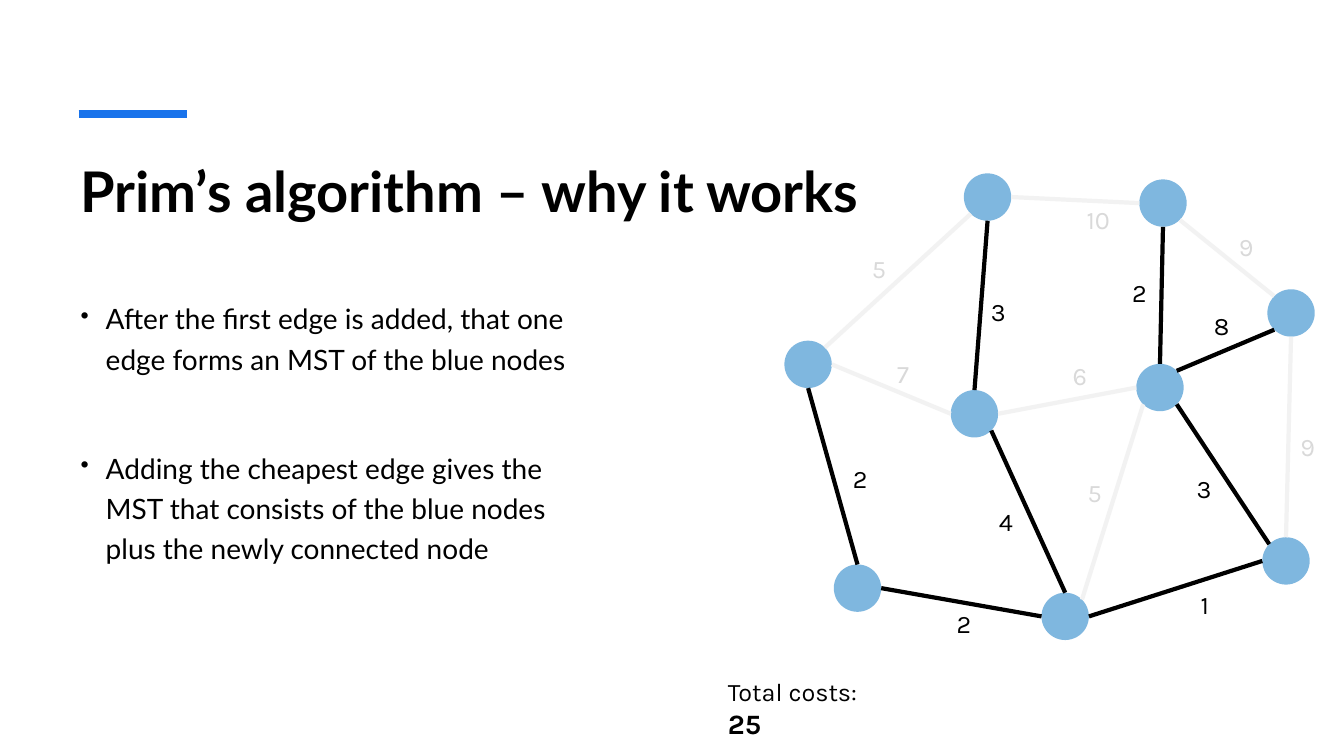
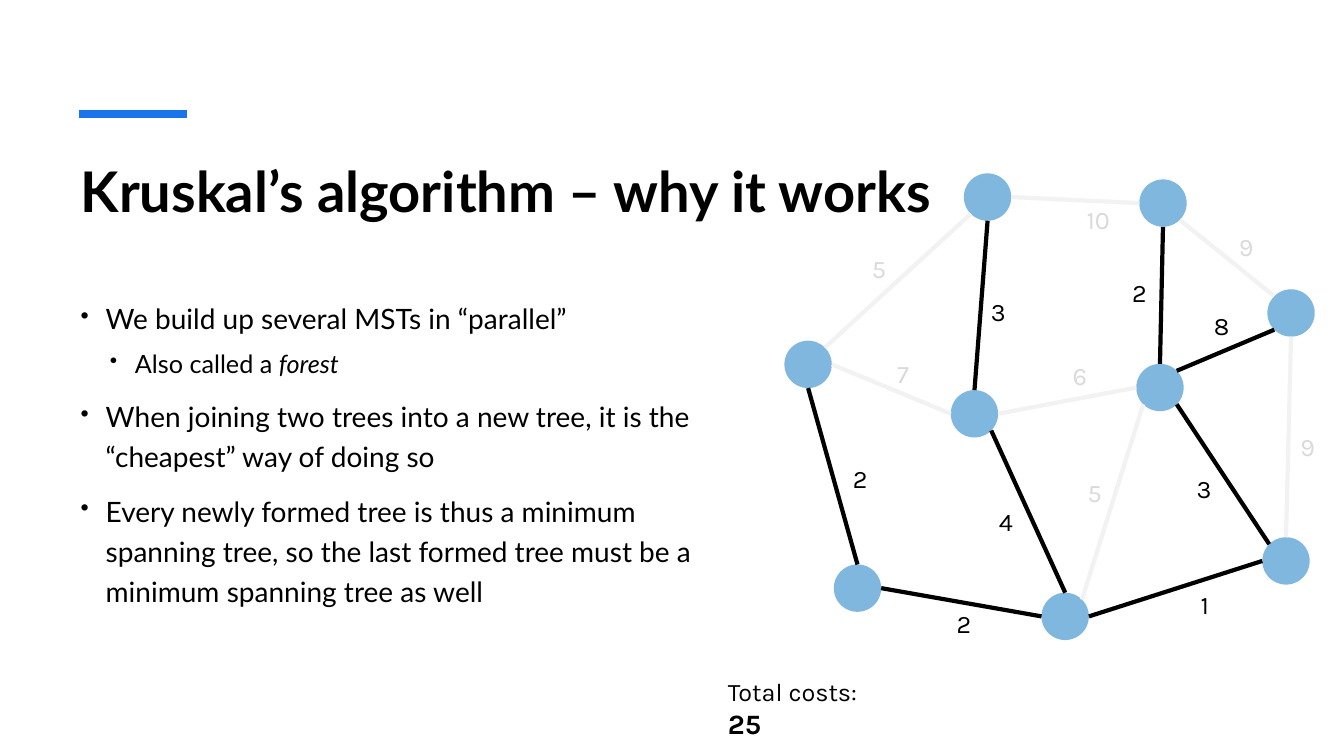
import math

from lxml import etree
from pptx import Presentation
from pptx import util as u
from pptx.dml.color import RGBColor
from pptx.enum import shapes, text
from pptx.oxml.ns import qn

# Shared style: one px is a hundredth of an inch
EMU_PER_PX = 9144
WIDTH, HEIGHT = 1333, 750
HEAD_FONT, LABEL_FONT = "Lato", "Karla"
BLACK, ACCENT, NODE = "000000", "1973EB", "0070C0"
FAINT_LINE, FAINT_TEXT = "F2F2F2", "D9D9D9"

# Graph: node name -> left, top
NODE_SIZE = 47
NODES = {
    "left": (778, 338), "top": (956, 172), "top right": (1130, 178),
    "inner left": (943, 387), "inner right": (1127, 361),
    "right": (1257, 287), "low left": (827, 560),
    "bottom": (1033, 588), "low right": (1252, 533),
}
# Connection sites of an ellipse, counter-clockwise from the top
N, NW, W, SW, S, SE, E, NE = range(8)
# Edges: from, site, to, site, cost, label position, in the spanning tree
EDGES = [
    ("left", E, "inner left", W, 7, (880, 351), False),
    ("inner left", E, "inner right", W, 6, (1054, 353), False),
    ("inner right", NE, "right", SW, 8, (1194, 303), True),
    ("left", NE, "top", SW, 5, (855, 246), False),
    ("top", E, "top right", W, 10, (1068, 198), False),
    ("inner right", N, "top right", S, 2, (1113, 270), True),
    ("top right", SE, "right", NW, 9, (1219, 225), False),
    ("left", S, "low left", N, 2, (836, 455), True),
    ("inner left", SE, "bottom", N, 4, (981, 497), True),
    ("low left", E, "bottom", W, 2, (939, 599), True),
    ("bottom", E, "low right", W, 1, (1181, 580), True),
    ("low right", N, "right", S, 9, (1280, 423), False),
    ("inner left", N, "top", S, 3, (973, 289), True),
    ("bottom", NE, "inner right", SW, 5, (1069, 469), False),
    ("low right", NW, "inner right", SE, 3, (1177, 465), True),
]

# Bullets: level, space before in points, runs as (text, italic)
PRIM = [
    (0, 10, [("After the first edge is added, that one edge forms an MST "
              "of the blue nodes", False)]),
    (0, 49, [("Adding the cheapest edge gives the MST that consists of the "
              "blue nodes plus the newly connected node", False)]),
]
KRUSKAL = [
    (0, 10, [("We build up several MSTs in “parallel”", False)]),
    (1, 5, [("Also called a ", False), ("forest", True)]),
    (0, 10, [("When joining two trees into a new tree, it is the “cheapest” "
              "way of doing so", False)]),
    (0, 10, [("Every newly formed tree is thus a minimum spanning tree, so "
              "the last formed tree must be a minimum spanning tree as well",
              False)]),
]


def px(n):
    return u.Emu(round(n * EMU_PER_PX))


def rgb(color):
    return RGBColor.from_string(color)


def add_run(p, content, *, size, font=HEAD_FONT, color=BLACK, bold=False,
            italic=False):
    r = p.add_run()
    r.text = content
    r.font.size, r.font.name = u.Pt(size), font
    r.font.bold, r.font.italic = bold, italic
    r.font.color.rgb = rgb(color)


def add_box(slide, left, top, width, height, wrap=True):
    tf = slide.shapes.add_textbox(*map(px, (left, top, width, height))).text_frame
    tf.word_wrap = wrap
    return tf


def add_line(slide, start, end, color, weight):
    line = slide.shapes.add_connector(
        shapes.MSO_CONNECTOR.STRAIGHT, *map(px, (*start, *end)))
    line.line.color.rgb = rgb(color)
    line.line.width = u.Pt(weight)
    etree.SubElement(line._element.spPr, qn("a:effectLst"))
    return line


def add_title(slide, content):
    title = slide.shapes.title
    title.left, title.top, title.width, title.height = map(px, (70, 150, 1191, 120))
    tf = title.text_frame
    tf.word_wrap = True
    tf.auto_size = text.MSO_AUTO_SIZE.NONE
    tf.vertical_anchor = text.MSO_ANCHOR.TOP
    p = tf.paragraphs[0]
    p.alignment = text.PP_ALIGN.LEFT
    add_run(p, content, size=40, bold=True)


def add_bullets(slide, items, width, height):
    tf = add_box(slide, 70, 288, width, height)
    for i, (level, space, runs) in enumerate(items):
        p = tf.add_paragraph() if i else tf.paragraphs[0]
        p.level = level
        p.line_spacing = 1.2
        p.space_before = u.Pt(space)
        pPr = p._p.get_or_add_pPr()
        pPr.set("marL", str(px((25, 54)[level])))
        pPr.set("indent", str(px(-25)))
        etree.SubElement(pPr, qn("a:buSzPct"), val="87000")
        etree.SubElement(pPr, qn("a:buChar"), char="•")
        for content, italic in runs:
            add_run(p, content, size=(20, 18)[level], italic=italic)


def add_node(slide, left, top):
    sp = slide.shapes.add_shape(
        shapes.MSO_SHAPE.OVAL, *map(px, (left, top, NODE_SIZE, NODE_SIZE)))
    sp.shadow.inherit = False
    sp.line.fill.background()
    sp.fill.solid()
    sp.fill.fore_color.rgb = rgb(NODE)
    color = sp._element.spPr.find(".//" + qn("a:srgbClr"))
    etree.SubElement(color, qn("a:alpha"), val="50000")
    return sp


def site_point(name, site):
    left, top = NODES[name]
    radius, angle = NODE_SIZE / 2, site * math.pi / 4
    return (left + radius - radius * math.sin(angle),
            top + radius - radius * math.cos(angle))


def add_label(slide, content, position, color):
    tf = add_box(slide, *position, 47 if len(content) > 1 else 34, 40, wrap=False)
    tf.auto_size = text.MSO_AUTO_SIZE.SHAPE_TO_FIT_TEXT
    add_run(tf.paragraphs[0], content, size=18, font=LABEL_FONT, color=color)


def add_graph(slide):
    nodes = {name: add_node(slide, *at) for name, at in NODES.items()}
    for a, a_site, b, b_site, cost, position, in_tree in EDGES:
        line = add_line(slide, site_point(a, a_site), site_point(b, b_site),
                        BLACK if in_tree else FAINT_LINE, 3)
        # Glue both ends to the nodes
        props = line._element.nvCxnSpPr.cNvCxnSpPr
        for tag, name, site in (("a:stCxn", a, a_site), ("a:endCxn", b, b_site)):
            etree.SubElement(props, qn(tag), id=str(nodes[name].shape_id),
                             idx=str(site))
        add_label(slide, str(cost), position, BLACK if in_tree else FAINT_TEXT)


def add_total(slide):
    p = add_box(slide, 712, 666, 179, 44).paragraphs[0]
    add_run(p, "Total costs:", size=18, font=LABEL_FONT)
    p.add_line_break()
    add_run(p, "25", size=20, font=LABEL_FONT, bold=True)


def add_slide(prs, title, bullets, width, height):
    slide = prs.slides.add_slide(prs.slide_layouts[5])
    add_line(slide, (78, 113), (185, 113), ACCENT, 6)
    add_title(slide, title)
    add_bullets(slide, bullets, width, height)
    add_graph(slide)
    add_total(slide)


def main():
    prs = Presentation()
    prs.slide_width, prs.slide_height = px(WIDTH), px(HEIGHT)
    add_slide(prs, "Prim’s algorithm – why it works", PRIM, 531, 378)
    add_slide(prs, "Kruskal’s algorithm – why it works", KRUSKAL, 642, 397)
    prs.save("out.pptx")


if __name__ == "__main__":
    main()
